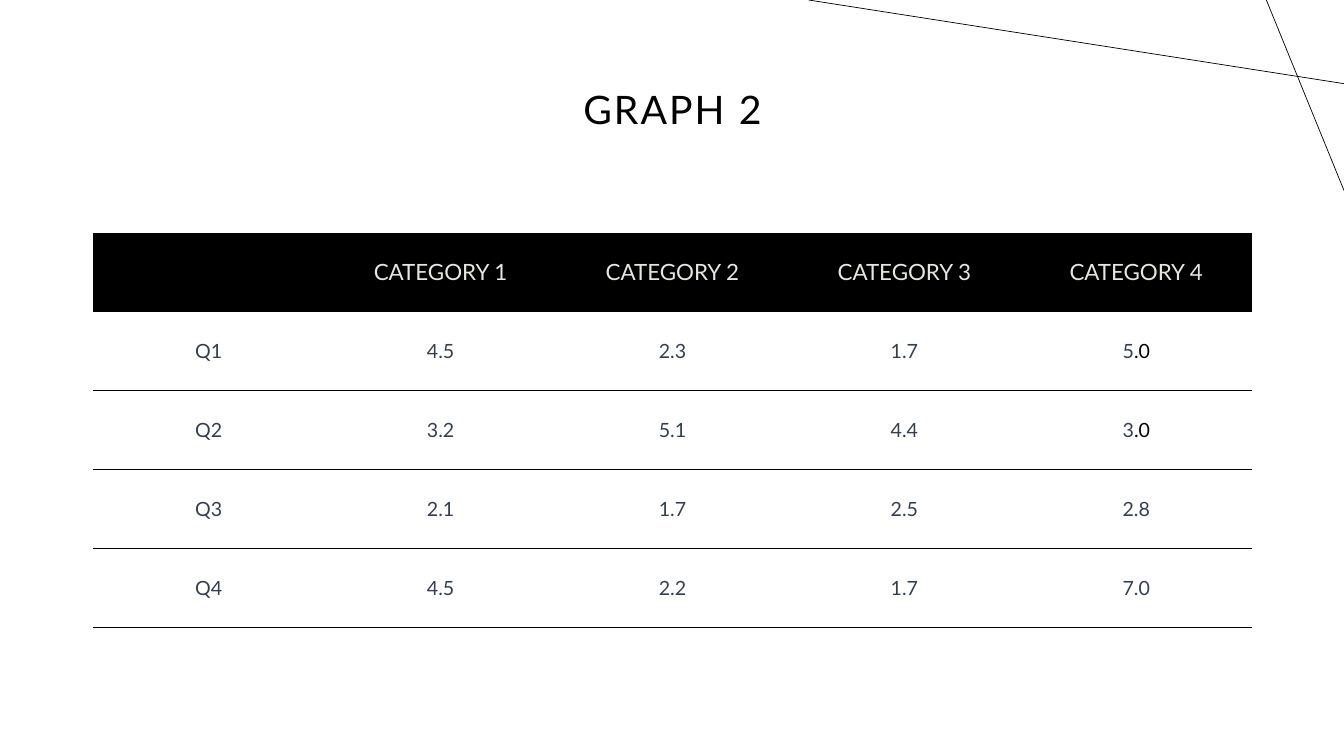
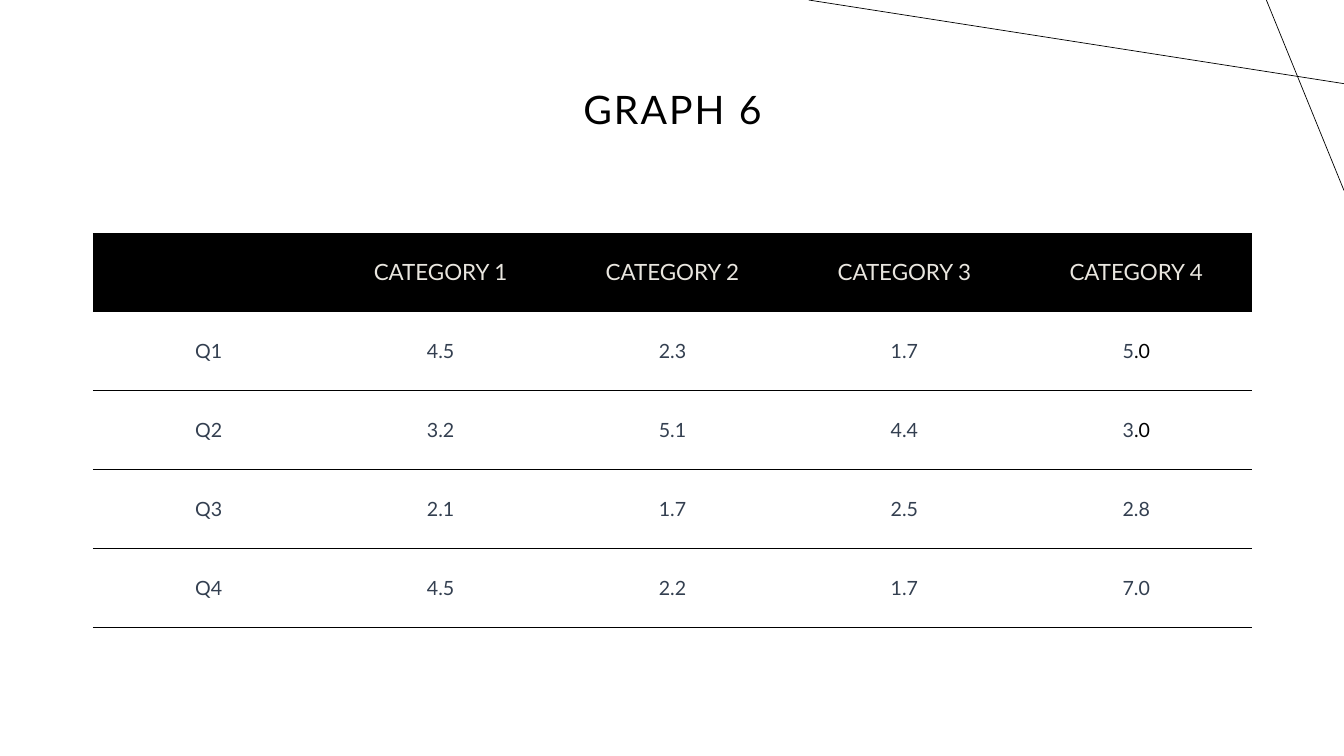
from dataclasses import dataclass

from lxml import etree
from pptx import Presentation
from pptx.dml.color import RGBColor
from pptx.enum import shapes, text
from pptx.oxml import ns
from pptx.util import Inches, Pt

BLACK = RGBColor(0x00, 0x00, 0x00)
CREAM = RGBColor(0xE9, 0xE6, 0xDF)
SLATE = RGBColor(0x33, 0x3F, 0x50)
FONT = "Lato"
RULE = Pt(0.5)
LEFT, WIDTH = Inches(0.92), Inches(11.5)
NO_GRID = "{2D5ABB26-0587-4C30-8999-92F81FD0307C}"


@dataclass(frozen=True)
class Line:
    x1: float
    y1: float
    x2: float
    y2: float


@dataclass(frozen=True)
class Page:
    title: str
    rows: tuple


LINES = (Line(13.33, 0.83, 8.02, 0), Line(12.56, 0, 13.33, 1.89))

# The part of a value after "|" is set in black
ROWS = (
    ("", "CATEGORY 1", "CATEGORY 2", "CATEGORY 3", "CATEGORY 4"),
    ("Q1", "4.5", "2.3", "1.7", "5|.0"),
    ("Q2", "3.2", "5.1", "4.4", "3|.0"),
    ("Q3", "2.1", "1.7", "2.5", "2.8"),
    ("Q4", "4.5", "2.2", "1.7", "7.0"),
)
PAGES = (Page("GRAPH 2", ROWS), Page("GRAPH 6", ROWS))


def style(par, size: int, color: RGBColor) -> None:
    par.alignment = text.PP_ALIGN.CENTER
    par.font.name = FONT
    par.font.size = Pt(size)
    par.font.color.rgb = color


def add_line(slide, line: Line) -> None:
    ends = [Inches(n) for n in (line.x1, line.y1, line.x2, line.y2)]
    shape = slide.shapes.add_connector(shapes.MSO_CONNECTOR.STRAIGHT, *ends)
    shape.line.color.rgb = BLACK
    shape.line.width = RULE
    etree.SubElement(shape._element.spPr, ns.qn("a:effectLst"))


def add_title(slide, title: str) -> None:
    box = slide.shapes.add_textbox(LEFT, Inches(0.38), WIDTH, Inches(1.45))
    frame = box.text_frame
    frame.word_wrap = True
    frame.vertical_anchor = text.MSO_ANCHOR.MIDDLE
    par = frame.paragraphs[0]
    par.line_spacing = 0.9
    style(par, 28, BLACK)
    run = par.add_run()
    run.text = title
    run._r.get_or_add_rPr().set("spc", "150")


def add_rules(cell) -> None:
    """Draw the top and bottom borders; they come before the fill."""
    props = cell._tc.get_or_add_tcPr()
    for spot, side in enumerate(("a:lnT", "a:lnB")):
        edge = etree.Element(ns.qn(side), w=str(RULE))
        fill = etree.SubElement(edge, ns.qn("a:solidFill"))
        etree.SubElement(fill, ns.qn("a:srgbClr"), val=str(BLACK))
        props.insert(spot, edge)


def fill_cell(cell, value: str, head: bool) -> None:
    cell.vertical_anchor = text.MSO_ANCHOR.MIDDLE
    if head:
        cell.fill.solid()
        cell.fill.fore_color.rgb = BLACK
    else:
        cell.fill.background()
    add_rules(cell)
    par = cell.text_frame.paragraphs[0]
    style(par, 16 if head else 14, CREAM if head else SLATE)
    main, _, tail = value.partition("|")
    if main:
        par.add_run().text = main
    if tail:
        run = par.add_run()
        run.text = tail
        run.font.color.rgb = BLACK


def add_grid(slide, rows: tuple) -> None:
    frame = slide.shapes.add_table(
        len(rows), len(rows[0]), LEFT, Inches(2.31), WIDTH, Inches(3.91))
    grid = frame.table
    grid.horz_banding = False
    grid._tbl.tblPr.find(ns.qn("a:tableStyleId")).text = NO_GRID
    for r, row in enumerate(rows):
        for c, value in enumerate(row):
            fill_cell(grid.cell(r, c), value, head=r == 0)


def main() -> None:
    deck = Presentation()
    deck.slide_width, deck.slide_height = Inches(13.33), Inches(7.5)
    for page in PAGES:
        slide = deck.slides.add_slide(deck.slide_layouts[6])
        # Corner lines, shared by all slides
        for line in LINES:
            add_line(slide, line)
        add_grid(slide, page.rows)
        add_title(slide, page.title)
    deck.save("out.pptx")


if __name__ == "__main__":
    main()
